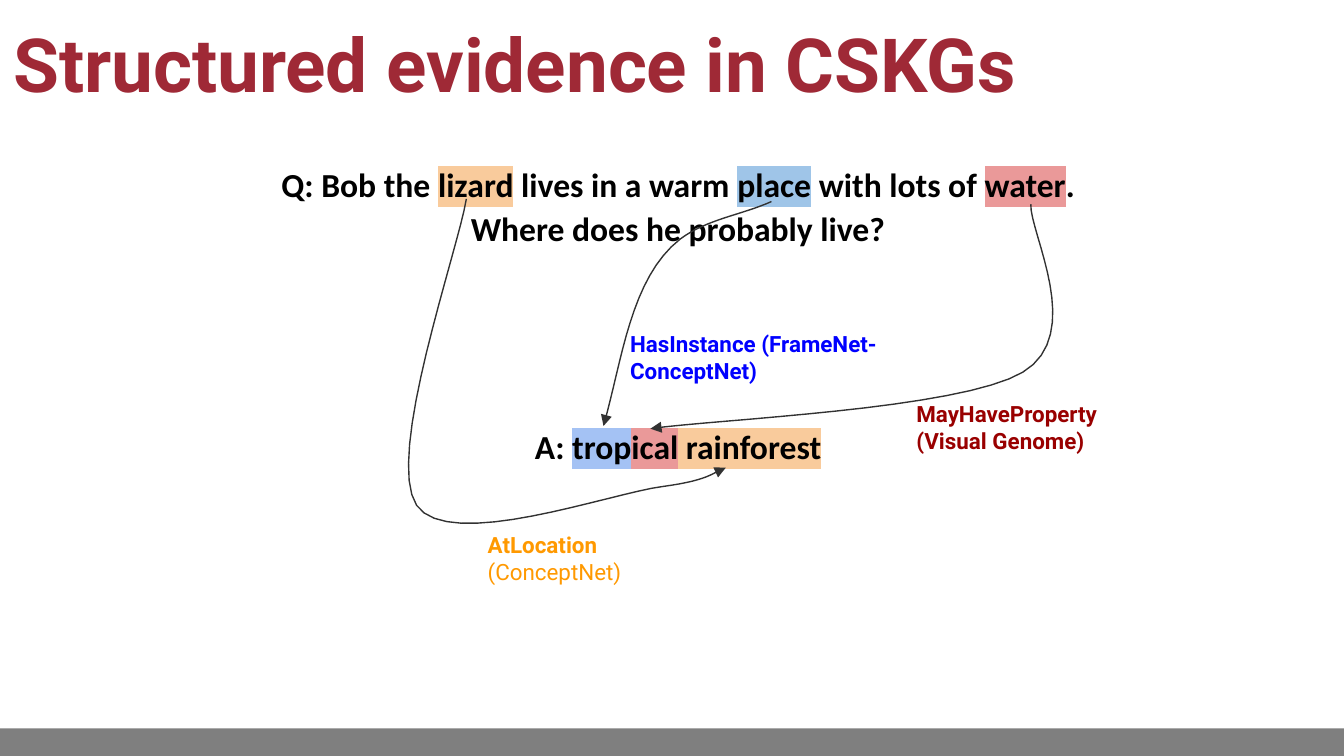
from lxml import etree
from pptx import Presentation
from pptx import util as u
from pptx.dml.color import RGBColor
from pptx.enum import shapes, text
from pptx.oxml import ns

RED = RGBColor(0x9F, 0x29, 0x36)
BLACK = RGBColor(0, 0, 0)
GREY = RGBColor(0x7F, 0x7F, 0x7F)
DARK = RGBColor(0x32, 0x32, 0x32)
GOLD = RGBColor(0xFF, 0x99, 0x00)
BLUE = RGBColor(0, 0, 0xFF)
WINE = RGBColor(0x99, 0, 0)
PEACH = RGBColor(0xF9, 0xCB, 0x9C)
SKY = RGBColor(0x9F, 0xC5, 0xE8)
ROSE = RGBColor(0xEA, 0x99, 0x99)
PALE = RGBColor(0xA4, 0xC2, 0xF4)

WIDE = 10
HIGH = WIDE * 9 / 16
STEPS = 16


def curve(a, b, c, d, t):
    s = 1 - t
    return tuple(
        u.Inches(s**3 * i + 3 * s * s * t * j + 3 * s * t * t * k + t**3 * m)
        for i, j, k, m in zip(a, b, c, d)
    )


class Deck:
    head = "Roboto"
    body = "Calibri"

    def __init__(self, slide):
        self.slide = slide

    def font(self, para, name, size, color):
        font = para.font
        font.name, font.size, font.bold = name, u.Pt(size), True
        font.color.rgb = color

    def box(self, left, top, width, height, inset=0.05):
        area = map(u.Inches, (left, top, width, height))
        frame = self.slide.shapes.add_textbox(*area).text_frame
        frame.word_wrap = True
        frame.margin_top = frame.margin_bottom = u.Inches(inset)
        return frame

    def title(self, words):
        frame = self.box(0, 0, WIDE, 0.93)
        frame.vertical_anchor = text.MSO_ANCHOR.MIDDLE
        para = frame.paragraphs[0]
        para.text = words
        self.font(para, self.head, 40, RED)

    def bar(self, left, top, width, height):
        area = map(u.Inches, (left, top, width, height))
        shape = self.slide.shapes.add_shape(shapes.MSO_SHAPE.RECTANGLE, *area)
        shape.shadow.inherit = False
        shape.fill.solid()
        shape.fill.fore_color.rgb = GREY
        shape.line.fill.background()

    def label(self, left, top, width, words, color, light=""):
        para = self.box(left, top, width, 0.25, 0.1).paragraphs[0]
        para.text = words
        self.font(para, self.head, 12, color)
        if light:
            run = para.add_run()
            run.text = light
            run.font.bold = False

    def marked(self, para, parts):
        para.alignment = text.PP_ALIGN.CENTER
        para.line_spacing = 1.1
        self.font(para, self.body, 18, BLACK)
        for words, color in parts:
            run = para.add_run()
            run.text = words
            if color:
                mark = etree.SubElement(run._r.get_or_add_rPr(), ns.qn("a:highlight"))
                etree.SubElement(mark, ns.qn("a:srgbClr"), val=str(color))

    def arrow(self, *knots):
        points = [
            curve(*knots[i:i + 4], n / STEPS)
            for i in range(0, len(knots) - 1, 3)
            for n in range(1, STEPS + 1)
        ]
        pen = self.slide.shapes.build_freeform(*map(u.Inches, knots[0]))
        pen.add_line_segments(points, close=False)
        shape = pen.convert_to_shape()
        shape.shadow.inherit = False
        shape.fill.background()
        shape.line.color.rgb = DARK
        shape.line.width = u.Pt(0.75)
        etree.SubElement(shape.line._get_or_add_ln(), ns.qn("a:tailEnd"), type="triangle")


def main():
    show = Presentation()
    show.slide_width, show.slide_height = u.Inches(WIDE), u.Inches(HIGH)
    deck = Deck(show.slides.add_slide(show.slide_layouts[6]))

    deck.bar(0, 5.42, WIDE, HIGH - 5.42)
    deck.title("Structured evidence in CSKGs")

    frame = deck.box(1.99, 1.14, 6.11, 2.12)
    deck.marked(frame.paragraphs[0], [
        ("Q: Bob the ", None), ("lizard", PEACH),
        (" lives in a warm ", None), ("place", SKY),
        (" with lots of ", None), ("water", ROSE),
        (". Where does he probably live?", None),
    ])
    reply = frame.add_paragraph()
    reply.space_before = u.Pt(93)
    deck.marked(reply, [
        ("A: ", None), ("trop", PALE), ("ical", ROSE), (" rainforest", PEACH),
    ])

    deck.arrow((3.47, 1.48), (3.41, 1.86), (2.86, 3.4), (3.1, 3.76),
               (3.34, 4.11), (4.54, 3.67), (4.93, 3.62),
               (5.31, 3.57), (5.32, 3.5), (5.4, 3.48))
    deck.label(3.53, 3.85, 1.39, "AtLocation", GOLD, " (ConceptNet)")
    deck.label(4.59, 2.36, 2.13, "HasInstance (FrameNet-ConceptNet)", BLUE)
    deck.arrow((5.74, 1.5), (5.52, 1.6), (5.26, 1.63), (5.06, 1.78),
               (4.69, 2.07), (4.63, 2.68), (4.49, 3.17))
    deck.arrow((7.67, 1.52), (7.66, 1.73), (8.08, 2.49), (7.61, 2.77),
               (7.14, 3.05), (5.31, 3.12), (4.84, 3.19))
    deck.label(6.72, 2.88, 2.13, "MayHaveProperty\v(Visual Genome)", WINE)

    show.save("out.pptx")


if __name__ == "__main__":
    main()
